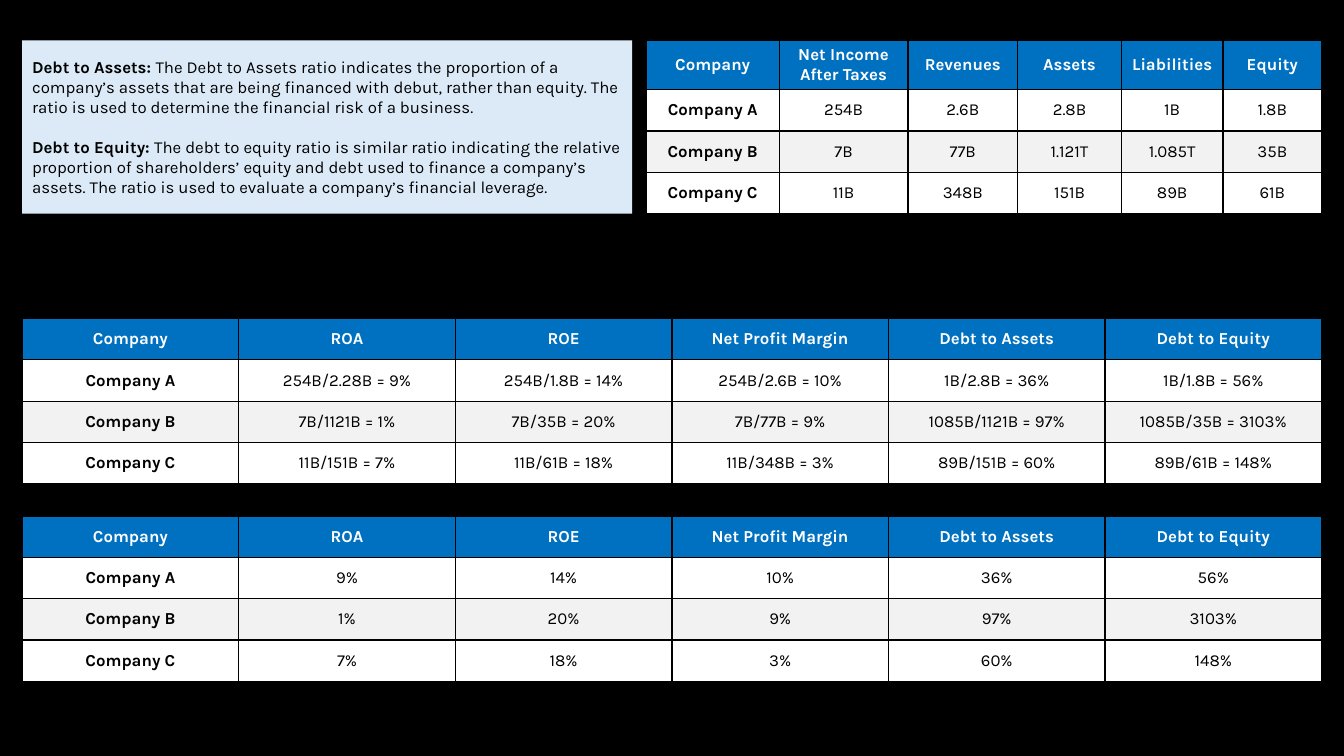
import pptx
import pptx.dml.color
import pptx.enum.shapes
import pptx.enum.text
import pptx.oxml
import pptx.oxml.ns
import pptx.util

FONT = "Karla"
BLACK, WHITE, BLUE, PALE_BLUE, GREY = "000000", "FFFFFF", "0070C0", "DCEAF7", "F2F2F2"
MIDDLE = pptx.enum.text.MSO_ANCHOR.MIDDLE
CENTER = pptx.enum.text.PP_ALIGN.CENTER
LEFT = pptx.enum.text.PP_ALIGN.LEFT

# Layout in inches: one content column, split in two for the top band.
MARGIN, CONTENT_WIDTH, ROW = 0.22, 12.89, 0.41
TOP_BAND, BAND_HEIGHT = 0.4, 1.72
TEXT_WIDTH, GAP = 6.05, 0.14
WORKINGS_TOP, TABLE_STEP = 3.16, 1.96

COMPANIES = ["Company A", "Company B", "Company C"]
FIGURE_HEADS = ["Net Income After Taxes", "Revenues", "Assets", "Liabilities", "Equity"]
FIGURE_WEIGHTS = [1.32, 1.28, 1.09, 1.03, 1.01, 0.98]
FIGURES = [
    ["254B", "2.6B", "2.8B", "1B", "1.8B"],
    ["7B", "77B", "1.121T", "1.085T", "35B"],
    ["11B", "348B", "151B", "89B", "61B"],
]
RATIO_HEADS = ["ROA", "ROE", "Net Profit Margin", "Debt to Assets", "Debt to Equity"]
WORKINGS = [
    [("254B/2.28B", "9%"), ("254B/1.8B", "14%"), ("254B/2.6B", "10%"),
     ("1B/2.8B", "36%"), ("1B/1.8B", "56%")],
    [("7B/1121B", "1%"), ("7B/35B", "20%"), ("7B/77B", "9%"),
     ("1085B/1121B", "97%"), ("1085B/35B", "3103%")],
    [("11B/151B", "7%"), ("11B/61B", "18%"), ("11B/348B", "3%"),
     ("89B/151B", "60%"), ("89B/61B", "148%")],
]
DEFINITIONS = [
    ("Debt to Assets: ",
     "The Debt to Assets ratio indicates the proportion of a company’s assets that are being "
     "financed with debut, rather than equity. The ratio is used to determine the financial "
     "risk of a business."),
    ("Debt to Equity: ",
     "The debt to equity ratio is similar ratio indicating the relative proportion of "
     "shareholders’ equity and debt used to finance a company’s assets. The ratio is used to "
     "evaluate a company’s financial leverage."),
]


def rgb(value):
    return pptx.dml.color.RGBColor.from_string(value)


def inches(*lengths):
    return [pptx.util.Inches(length) for length in lengths]


def fill_solid(fill, color):
    fill.solid()
    fill.fore_color.rgb = rgb(color)


def add_run(paragraph, text, color, bold):
    run = paragraph.add_run()
    run.text = text
    style = {"name": FONT, "size": pptx.util.Pt(12), "bold": bold}
    for name, value in style.items():
        setattr(run.font, name, value)
    run.font.color.rgb = rgb(color)


def add_borders(cell):
    """Draw a 1 pt black line on each side; call before filling the cell."""
    properties = cell._tc.get_or_add_tcPr()
    for side in ("lnL", "lnR", "lnT", "lnB"):
        properties.append(pptx.oxml.parse_xml(
            f'<a:{side} {pptx.oxml.ns.nsdecls("a")} w="12700"><a:solidFill>'
            f'<a:srgbClr val="{BLACK}"/></a:solidFill></a:{side}>'))


def add_cell(cell, text, fill, color, bold):
    add_borders(cell)
    fill_solid(cell.fill, fill)
    cell.vertical_anchor = MIDDLE
    paragraph = cell.text_frame.paragraphs[0]
    paragraph.alignment = CENTER
    add_run(paragraph, text, color, bold)


def add_company_table(slide, left, top, width, heads, values, weights):
    """Add a table with a company column; weights share out the width."""
    rows = [["Company", *heads]]
    rows += [[company, *cells] for company, cells in zip(COMPANIES, values)]
    frame = slide.shapes.add_table(
        len(rows), len(weights), *inches(left, top, width, ROW * len(rows)))
    table = frame.table
    for column, weight in zip(table.columns, weights):
        column.width = pptx.util.Inches(width * weight / sum(weights))
    for row_index, row in enumerate(rows):
        header = row_index == 0
        table.rows[row_index].height = pptx.util.Inches(ROW)
        fill = BLUE if header else (WHITE if row_index % 2 else GREY)
        for column_index, text in enumerate(row):
            add_cell(table.cell(row_index, column_index), text, fill,
                     WHITE if header else BLACK, header or column_index == 0)
    return frame


def add_definitions(slide):
    shape = slide.shapes.add_shape(
        pptx.enum.shapes.MSO_SHAPE.RECTANGLE,
        *inches(MARGIN, TOP_BAND, TEXT_WIDTH, BAND_HEIGHT))
    shape.shadow.inherit = False
    fill_solid(shape.fill, PALE_BLUE)
    shape.line.fill.background()
    frame = shape.text_frame
    frame.word_wrap = True
    frame.vertical_anchor = MIDDLE
    for index, (term, meaning) in enumerate(DEFINITIONS):
        paragraph = frame.add_paragraph() if index else frame.paragraphs[0]
        paragraph.alignment = LEFT
        if index:
            paragraph.space_before = pptx.util.Pt(14)
        add_run(paragraph, term, BLACK, True)
        add_run(paragraph, meaning, BLACK, False)


def main():
    presentation = pptx.Presentation()
    presentation.slide_width, presentation.slide_height = inches(13.33, 7.5)
    slide = presentation.slides.add_slide(presentation.slide_layouts[6])
    fill_solid(slide.background.fill, BLACK)

    figures_left = MARGIN + TEXT_WIDTH + GAP
    figures_width = MARGIN + CONTENT_WIDTH - figures_left
    figures = add_company_table(slide, figures_left, TOP_BAND, figures_width,
                                FIGURE_HEADS, FIGURES, FIGURE_WEIGHTS)
    figures.height = pptx.util.Inches(BAND_HEIGHT)
    add_definitions(slide)

    formulas = [[f"{division} = {ratio}" for division, ratio in row] for row in WORKINGS]
    ratios = [[ratio for _, ratio in row] for row in WORKINGS]
    for index, values in enumerate([formulas, ratios]):
        add_company_table(slide, MARGIN, WORKINGS_TOP + index * TABLE_STEP, CONTENT_WIDTH,
                          RATIO_HEADS, values, [1] * 6)
    presentation.save("out.pptx")


if __name__ == "__main__":
    main()
